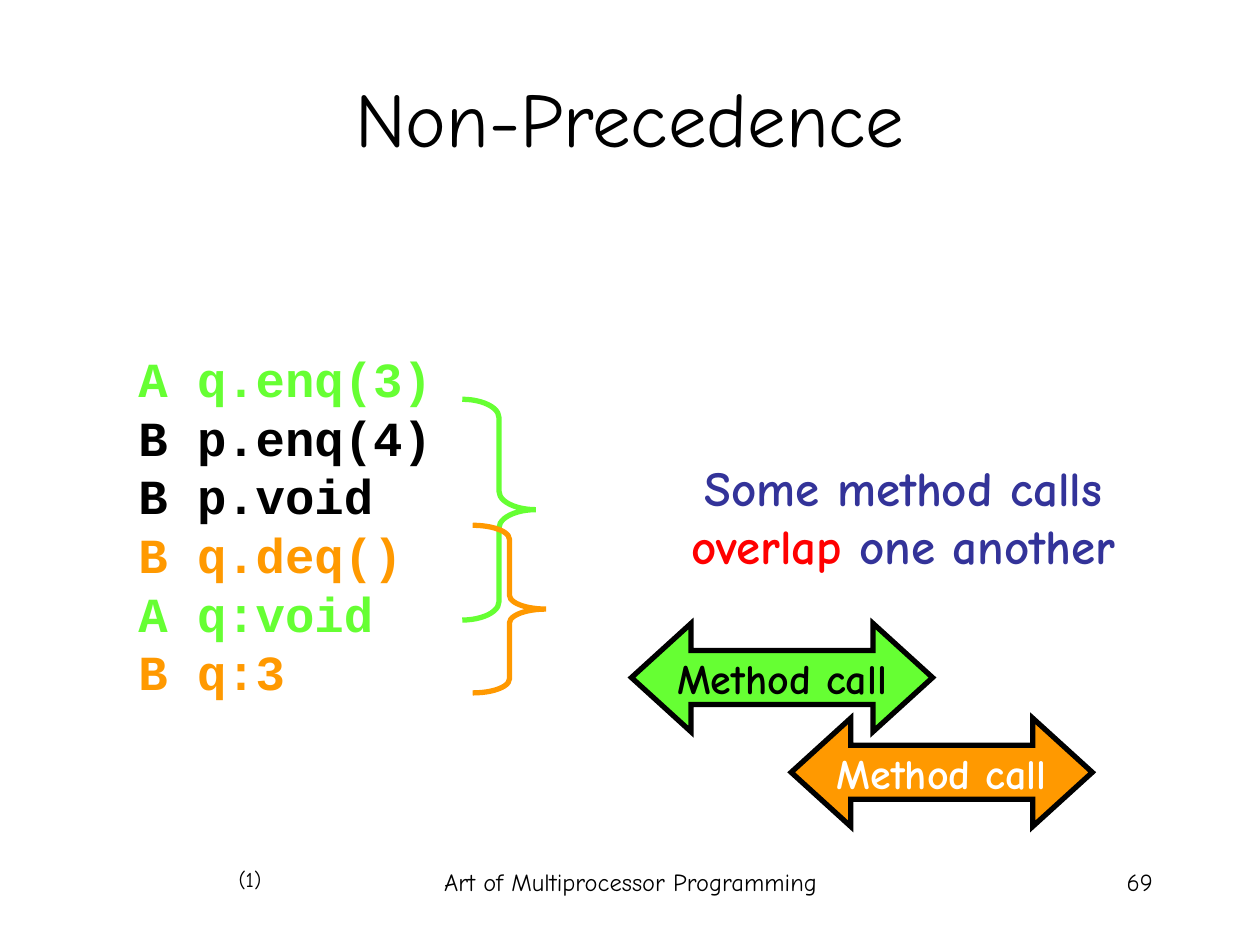
from lxml import etree
from pptx import Presentation
from pptx.dml.color import RGBColor
from pptx.enum.shapes import MSO_SHAPE
from pptx.enum.text import MSO_ANCHOR, PP_ALIGN
from pptx.util import Cm, Pt

LEFT, CENTER, RIGHT = PP_ALIGN.LEFT, PP_ALIGN.CENTER, PP_ALIGN.RIGHT
TOP, MIDDLE = MSO_ANCHOR.TOP, MSO_ANCHOR.MIDDLE
BRACE, ARROW = MSO_SHAPE.RIGHT_BRACE, MSO_SHAPE.LEFT_RIGHT_ARROW
DRAWING_NS = "{http://schemas.openxmlformats.org/drawingml/2006/main}"
SANS, MONO = "Comic Neue", "Courier New"
COLORS = {"black": "000000", "white": "FFFFFF", "green": "66FF33",
          "orange": "FF9900", "blue": "333399", "red": "FF0000"}

# Content: each paragraph is a list of (text, colour) runs
TITLE = [[("Non-Precedence", "black")]]
HISTORY = [
    [("A q.enq(3)", "green")],
    [("B p.enq(4)", "black")],
    [("B p.void", "black")],
    [("B q.deq()", "orange")],
    [("A q:void", "green")],
    [("B q:3", "orange")],
]
REMARK = [[("Some method calls ", "blue"), ("overlap", "red"),
           (" one another", "blue")]]
# text, box in cm, size, alignment, wrap
FOOTERS = [
    ("Art of Multiprocessor Programming", (8.69, 17.35, 8.05, 1.27), 14, CENTER, True),
    ("69", (18.21, 17.35, 5.28, 1.27), 14, RIGHT, True),
    ("(1)", (4.55, 17.35, 0.97, 0.76), 12, RIGHT, False),
]
# colour, left, top, height in cm, curve
BRACES = [("green", 9.32, 8.05, 4.45, 0.25), ("orange", 9.53, 10.59, 3.38, 0.19)]
BRACE_WIDTH = 1.48
# fill, text colour, left, top in cm
CALLS = [("green", "black", 12.73, 12.57), ("orange", "white", 15.95, 14.48)]
CALL_SIZE = (6.07, 2.18)


def rgb(name):
    return RGBColor.from_string(COLORS[name])


def write(tf, paragraphs, size, align, font=SANS, bold=False,
          anchor=TOP, wrap=True, pitch=None):
    tf.word_wrap = wrap
    tf.vertical_anchor = anchor
    for i, runs in enumerate(paragraphs):
        p = tf.paragraphs[0] if i == 0 else tf.add_paragraph()
        p.alignment = align
        if pitch:
            p.line_spacing = Pt(pitch)
        for text, color in runs:
            r = p.add_run()
            r.text = text
            r.font.name, r.font.size, r.font.bold = font, Pt(size), bold
            r.font.color.rgb = rgb(color)


def add_text(s, box, *args, **kwargs):
    sp = s.shapes.add_textbox(*map(Cm, box))
    write(sp.text_frame, *args, **kwargs)
    return sp


def add_outlined(s, kind, box, line, adjustments):
    sp = s.shapes.add_shape(kind, *map(Cm, box))
    sp.shadow.inherit = False
    sp.line.color.rgb = rgb(line)
    sp.line.width = Pt(3)
    etree.SubElement(sp.line._get_or_add_ln(), DRAWING_NS + "miter", lim="800000")
    for i, value in enumerate(adjustments):
        sp.adjustments[i] = value
    return sp


def main():
    prs = Presentation()
    prs.slide_width, prs.slide_height = Cm(25.4), Cm(19.05)
    s = prs.slides.add_slide(prs.slide_layouts[5])

    # Title
    title = s.shapes.title
    title.left, title.top, title.width, title.height = map(Cm, (1.27, 0.76, 22.86, 3.18))
    write(title.text_frame, TITLE, 44, CENTER, anchor=MIDDLE)

    # Footer line
    for text, box, size, align, wrap in FOOTERS:
        add_text(s, box, [[(text, "black")]], size, align, wrap=wrap)

    # Call history
    history = add_text(s, (2.54, 6.78, 7.75, 7.37), HISTORY, 28, LEFT,
                       font=MONO, bold=True, pitch=33.5)
    history.text_frame.margin_top = Cm(0.25)
    history.text_frame.margin_bottom = 0

    # Remark
    add_text(s, (13.13, 9.09, 10.16, 2.64), REMARK, 28, CENTER, bold=True)

    # Braces spanning each method call
    for color, left, top, height, curve in BRACES:
        sp = add_outlined(s, BRACE, (left, top, BRACE_WIDTH, height), color, (curve, 0.5))
        sp.fill.background()

    # Overlapping method calls
    for fill, color, left, top in CALLS:
        sp = add_outlined(s, ARROW, (left, top, *CALL_SIZE), "black", (0.5, 0.55))
        sp.fill.solid()
        sp.fill.fore_color.rgb = rgb(fill)
        write(sp.text_frame, [[("Method call", color)]], 24, CENTER,
              bold=True, anchor=MIDDLE, wrap=False)

    prs.save("out.pptx")


if __name__ == "__main__":
    main()
